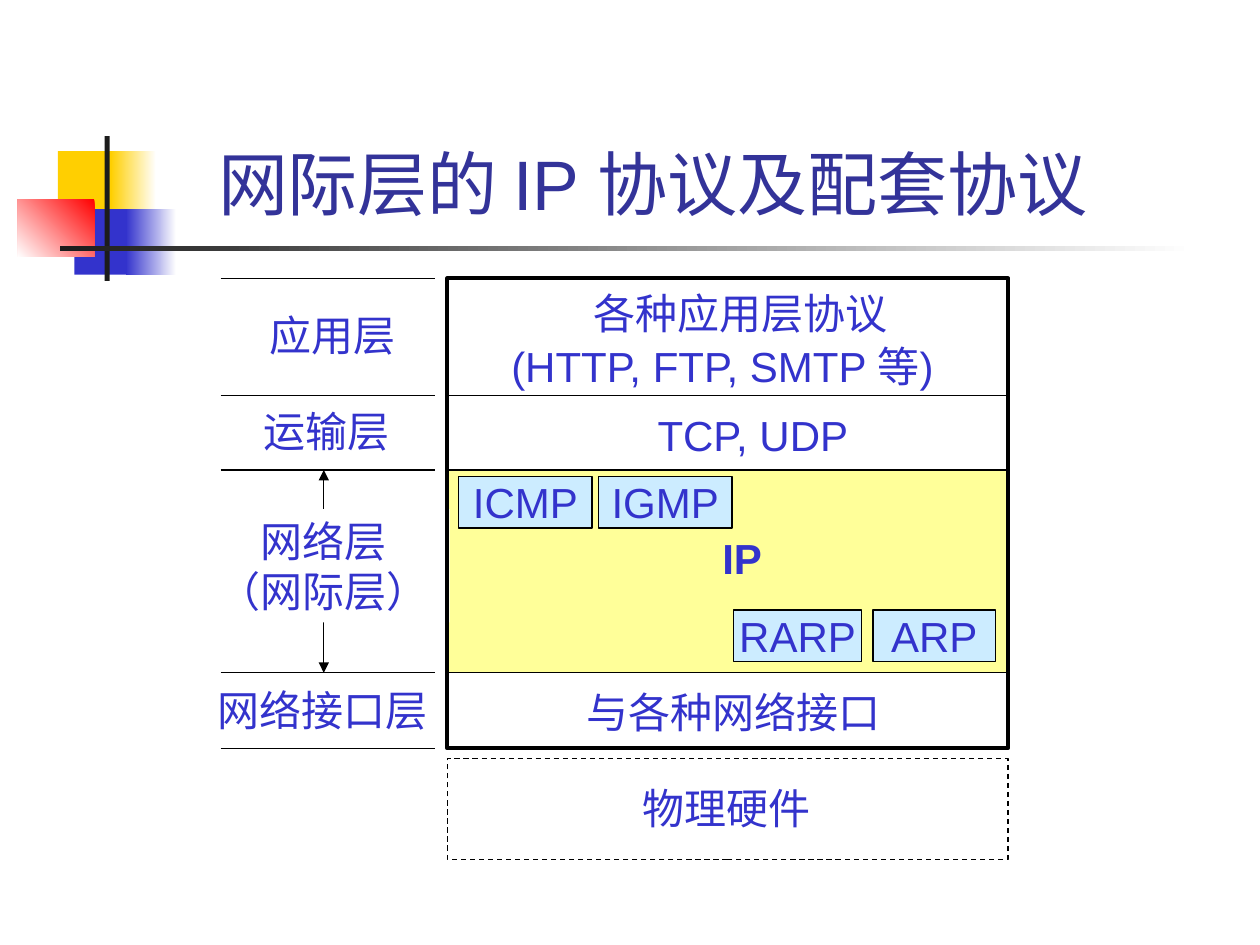
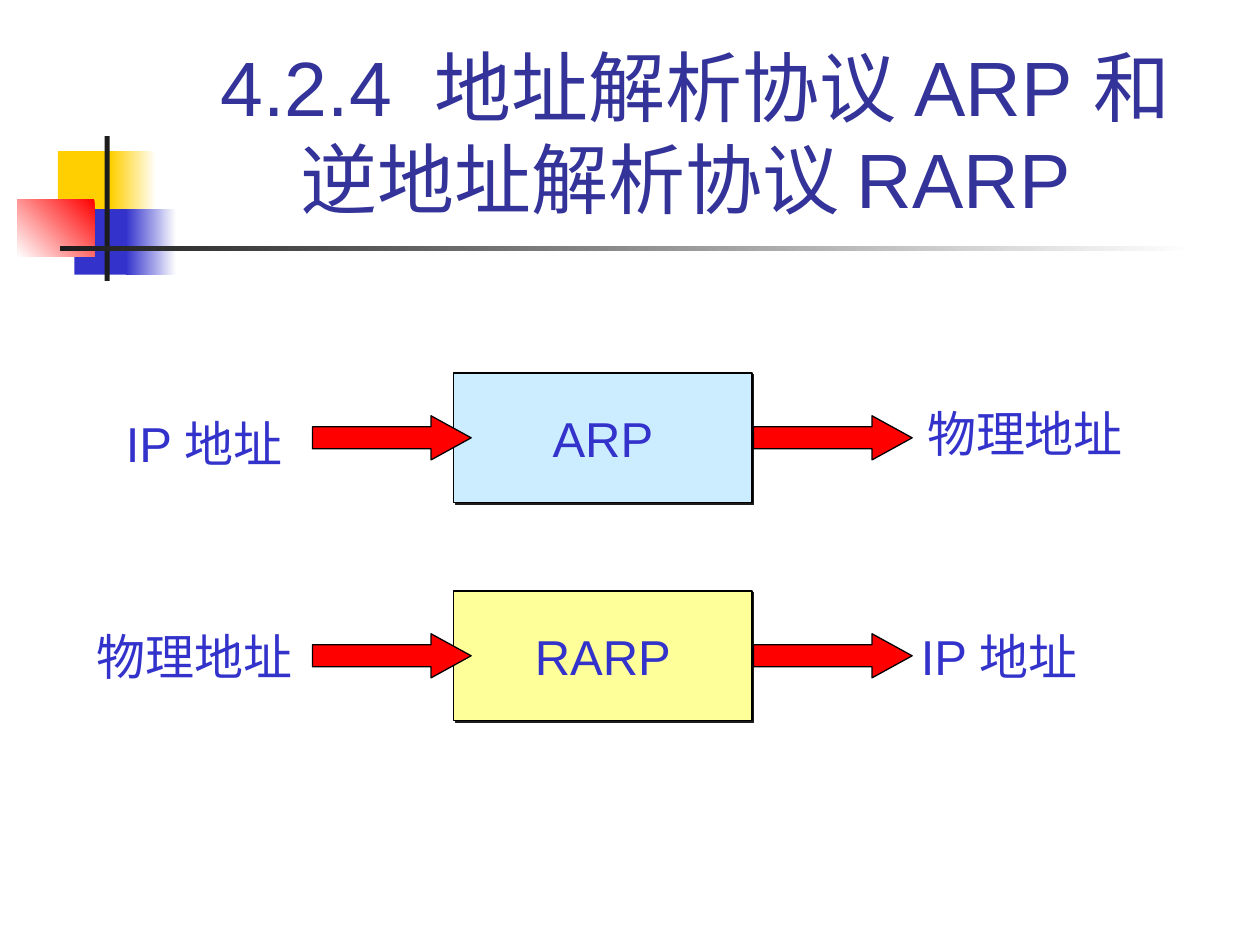
from dataclasses import dataclass
from typing import Any, NamedTuple, Optional

import pptx
import pptx.dml.color
import pptx.enum.dml
import pptx.enum.shapes
import pptx.enum.text
import pptx.oxml
import pptx.oxml.ns
import pptx.util

Inches = pptx.util.Inches
Pt = pptx.util.Pt
Shape = pptx.enum.shapes.MSO_SHAPE
Align = pptx.enum.text.PP_ALIGN
Anchor = pptx.enum.text.MSO_ANCHOR
AutoSize = pptx.enum.text.MSO_AUTO_SIZE


@dataclass(frozen=True)
class Theme:
    font: str = "Arial"
    title: str = "333399"
    text: str = "3333CC"
    white: str = "FFFFFF"
    black: str = "000000"
    dark: str = "1C1C1C"
    gold: str = "FFCF01"
    red: str = "FF0000"
    pale_blue: str = "CCECFF"
    pale_yellow: str = "FFFF99"
    body_size: int = 24
    flow_size: int = 28
    thin: float = 0.75
    thick: float = 2.25


T = Theme()


class Box(NamedTuple):
    left: float
    top: float
    width: float
    height: float


class Fade(NamedTuple):
    start: str
    end: str
    angle: int


class Label(NamedTuple):
    text: str
    box: Box
    bold: bool = False
    spacing: Optional[float] = None
    align: Any = Align.LEFT


class Flow(NamedTuple):
    """One row: input label, protocol block, output label."""
    source: Label
    protocol: str
    fill: str
    target: Label
    top: float


DECORATION = [
    (Box(0.46, 1.2, 0.48, 0.52), T.gold),
    (Box(0.88, 1.2, 0.36, 0.52), Fade(T.white, T.gold, 180)),
    (Box(0.59, 1.66, 0.46, 0.52), T.text),
    (Box(1, 1.66, 0.4, 0.52), Fade(T.white, T.text, 180)),
    (Box(0.14, 1.58, 0.61, 0.46), Fade(T.red, T.white, 225)),
    (Box(0.83, 1.08, 0.04, 1.15), T.dark),
    (Box(0.48, 1.95, 9, 0.04), Fade(T.white, T.dark, 180)),
]

STACK_LEFT, STACK_WIDTH = 3.55, 4.45
SIDE_LEFT, SIDE_RIGHT = 1.75, 3.45
LAYER_EDGES = [2.21, 3.14, 3.73, 5.34, 5.94]
LAYER_LABELS = [
    Label("各种应用层协议", Box(4.61, 2.23, 2.53, 0.5)),
    Label("(HTTP, FTP, SMTP 等)", Box(3.96, 2.65, 3.8, 0.5)),
    Label("TCP, UDP", Box(5.12, 3.2, 1.75, 0.5)),
    Label("IP", Box(5.49, 4.18, 0.8, 0.5), bold=True, align=Align.CENTER),
    Label("与各种网络接口", Box(4.56, 5.4, 2.53, 0.5)),
    Label("物理硬件", Box(5, 6.16, 1.53, 0.5)),
    Label("应用层", Box(2.04, 2.41, 1.2, 0.5)),
    Label("运输层", Box(1.99, 3.17, 1.2, 0.5)),
    Label("网络接口层", Box(1.63, 5.48, 1.87, 0.4), spacing=0.75),
]
PROTOCOLS = [
    Label("ICMP", Box(3.64, 3.78, 1.06, 0.41)),
    Label("IGMP", Box(4.75, 3.78, 1.06, 0.41)),
    Label("RARP", Box(5.82, 4.84, 1.02, 0.41)),
    Label("ARP", Box(6.93, 4.84, 0.97, 0.41)),
]

FLOWS = [
    Flow(Label("IP 地址", Box(0.9, 3.23, 1.54, 0.57)), "ARP", T.pale_blue,
         Label("物理地址", Box(7.26, 3.15, 1.75, 0.57)), 2.96),
    Flow(Label("物理地址", Box(0.67, 4.92, 1.75, 0.57)), "RARP", T.pale_yellow,
         Label("IP 地址", Box(7.21, 4.92, 1.54, 0.57)), 4.69),
]
ARROW_LEFTS = [2.48, 5.98]


def rgb(color: str) -> pptx.dml.color.RGBColor:
    return pptx.dml.color.RGBColor.from_string(color)


def add_effects(sp: Any, content: str = "") -> None:
    """Give the shape its own effect list; an empty one means no shadow."""
    ns = pptx.oxml.ns.nsdecls("a")
    sp._element.spPr.append(
        pptx.oxml.parse_xml(f"<a:effectLst {ns}>{content}</a:effectLst>"))


def write(sp: Any, text: str, *, size: float = T.body_size, color: str = T.text,
          bold: bool = False, align: Any = Align.LEFT, anchor: Any = Anchor.TOP,
          wrap: bool = False, grow: bool = False,
          spacing: Optional[float] = None) -> None:
    """Newlines start paragraphs; vertical tabs break lines."""
    tf = sp.text_frame
    tf.word_wrap = wrap
    tf.auto_size = AutoSize.SHAPE_TO_FIT_TEXT if grow else AutoSize.NONE
    tf.vertical_anchor = anchor
    tf.text = text
    for p in tf.paragraphs:
        p.alignment = align
        if spacing:
            p.line_spacing = spacing
        for r in p.runs:
            r.font.name = T.font
            r.font.size = Pt(size)
            r.font.bold = bold
            r.font.color.rgb = rgb(color)


def add_box(s: Any, box: Box, fill: Any = None, line: Optional[float] = None,
            kind: Any = Shape.RECTANGLE, shadow: str = "") -> Any:
    sp = s.shapes.add_shape(kind, *map(Inches, box))
    if isinstance(fill, Fade):
        sp.fill.gradient()
        sp.fill.gradient_angle = fill.angle
        for stop, color in zip(sp.fill.gradient_stops, (fill.start, fill.end)):
            stop.color.rgb = rgb(color)
    elif fill:
        sp.fill.solid()
        sp.fill.fore_color.rgb = rgb(fill)
    else:
        sp.fill.background()
    if line:
        sp.line.color.rgb = rgb(T.black)
        sp.line.width = Pt(line)
    else:
        sp.line.fill.background()
    add_effects(sp, shadow)
    return sp


def add_label(s: Any, label: Label, size: float = T.body_size) -> None:
    sp = s.shapes.add_textbox(*map(Inches, label.box))
    write(sp, label.text, size=size, bold=label.bold, spacing=label.spacing,
          align=label.align, grow=True)


def add_line(s: Any, x1: float, y1: float, x2: float, y2: float,
             arrows: bool = False) -> None:
    c = s.shapes.add_connector(pptx.enum.shapes.MSO_CONNECTOR.STRAIGHT,
                               *map(Inches, (x1, y1, x2, y2)))
    c.line.color.rgb = rgb(T.black)
    c.line.width = Pt(T.thin)
    if arrows:
        ns = pptx.oxml.ns.nsdecls("a")
        for end in ("headEnd", "tailEnd"):
            c.line._get_or_add_ln().append(
                pptx.oxml.parse_xml(f'<a:{end} {ns} type="triangle"/>'))
    add_effects(c)


def add_slide(prs: Any, title: str, width: float, size: float) -> Any:
    s = prs.slides.add_slide(prs.slide_layouts[6])
    for box, fill in DECORATION:
        add_box(s, box, fill)
    sp = s.shapes.add_textbox(*map(Inches, Box(1.26, 0.23, width, 1.6)))
    write(sp, title, size=size, color=T.title, align=Align.CENTER,
          anchor=Anchor.BOTTOM, wrap=True)
    return s


def build_layers(prs: Any) -> None:
    s = add_slide(prs, "网际层的 IP 协议及配套协议", 7.84, 40)
    top, _, net_top, net_bottom, bottom = LAYER_EDGES
    stack_right = STACK_LEFT + STACK_WIDTH
    add_box(s, Box(STACK_LEFT, net_top, STACK_WIDTH, net_bottom - net_top),
            T.pale_yellow)
    add_line(s, 2.57, net_top, 2.57, net_bottom, arrows=True)
    network = add_box(s, Box(1.57, 4.04, 2, 0.9), T.white)
    write(network, "网络层\n（网际层）", align=Align.CENTER, grow=True)
    add_box(s, Box(STACK_LEFT, top, STACK_WIDTH, bottom - top), line=T.thick)
    hardware = add_box(s, Box(STACK_LEFT, 6.02, STACK_WIDTH, 0.8), T.white, T.thin)
    hardware.line.dash_style = pptx.enum.dml.MSO_LINE.DASH
    for y in LAYER_EDGES[1:-1]:
        add_line(s, STACK_LEFT, y, stack_right, y)
    for y in LAYER_EDGES:
        add_line(s, SIDE_LEFT, y, SIDE_RIGHT, y)
    for label in LAYER_LABELS:
        add_label(s, label)
    for protocol in PROTOCOLS:
        sp = add_box(s, protocol.box, T.pale_blue, T.thin)
        write(sp, protocol.text, align=Align.CENTER, anchor=Anchor.MIDDLE)


def build_resolution(prs: Any) -> None:
    s = add_slide(prs, "4.2.4  地址解析协议 ARP 和\v逆地址解析协议 RARP ", 8.52, 44)
    shadow = (f'<a:outerShdw dist="{Pt(1.4)}" dir="2700000" algn="ctr" '
              f'rotWithShape="0"><a:srgbClr val="{T.dark}"/></a:outerShdw>')
    for flow in FLOWS:
        sp = add_box(s, Box(3.6, flow.top, 2.37, 1.03), flow.fill, T.thin,
                     shadow=shadow)
        write(sp, flow.protocol, size=T.flow_size, align=Align.CENTER,
              anchor=Anchor.MIDDLE)
        for left in ARROW_LEFTS:
            arrow = add_box(s, Box(left, flow.top + 0.34, 1.26, 0.35), T.red,
                            T.thin, Shape.RIGHT_ARROW)
            arrow.adjustments[1] = 0.91
        for label in (flow.source, flow.target):
            add_label(s, label, T.flow_size)


def main() -> None:
    prs = pptx.Presentation()
    prs.slide_width, prs.slide_height = Inches(10), Inches(7.5)
    build_layers(prs)
    build_resolution(prs)
    prs.save("out.pptx")


if __name__ == "__main__":
    main()
